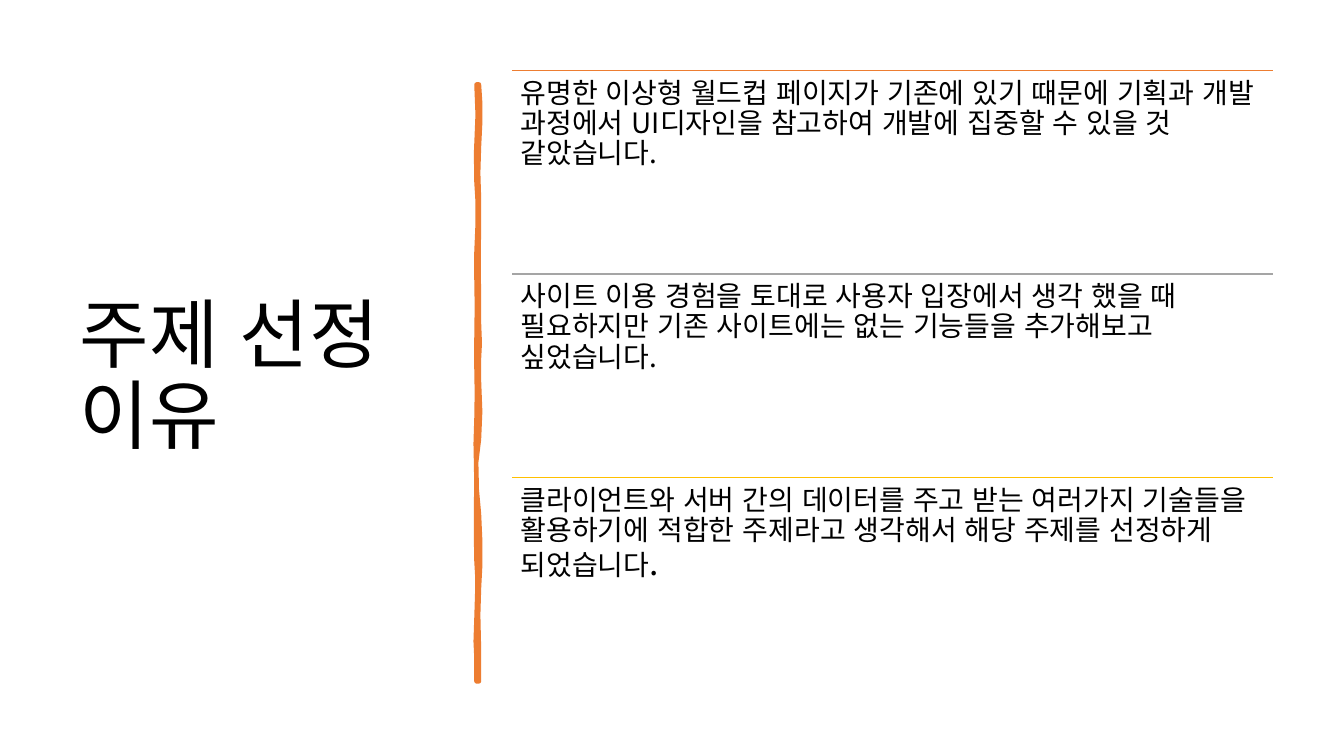
from lxml import etree
from pptx import Presentation
from pptx.dml.color import RGBColor
from pptx.enum.lang import MSO_LANGUAGE_ID
from pptx.enum.shapes import MSO_CONNECTOR
from pptx.enum.text import MSO_ANCHOR
from pptx.oxml.ns import qn
from pptx.util import Cm, Pt

STRAIGHT = MSO_CONNECTOR.STRAIGHT
TOP, MIDDLE = MSO_ANCHOR.TOP, MSO_ANCHOR.MIDDLE
KOREAN = MSO_LANGUAGE_ID.KOREAN

BLACK = RGBColor(0, 0, 0)
ORANGE = RGBColor(0xED, 0x7D, 0x31)
GRAY = RGBColor(0xA5, 0xA5, 0xA5)
GOLD = RGBColor(0xFF, 0xC0, 0x00)
FONT = "Noto Sans CJK KR"

TITLE = "주제 선정 이유"
REASONS = [
    (ORANGE, [("유명한 이상형 월드컵 페이지가 기존에 있기 때문에 기획과 개발 과정에서 "
               "UI디자인을 참고하여 개발에 집중할 수 있을 것 같았습니다.", 20)]),
    (GRAY, [("사이트 이용 경험을 토대로 사용자 입장에서 생각 했을 때 필요하지만 "
             "기존 사이트에는 없는 기능들을 추가해보고 싶었습니다.", 20)]),
    (GOLD, [("클라이언트와 서버 간의 데이터를 주고 받는 여러가지 기술들을 활용하기에 "
             "적합한 주제라고 생각해서 해당 주제를 선정하게 되었습니다", 20),
            (".", 24)]),
]

# Brush edges in 0.01 cm: two Bezier handles (x, y), then the y where the curve ends.
HALF = 3
RIGHT = [
    (8, 46, 8, 89, 157), (-3, 226, 5, 282, 361),
    (0, 439, 3, 452, 533), (0, 612, 8, 655, 691),
    (-3, 726, 13, 838, 894), (-8, 947, -5, 1016, 1082),
    (8, 1148, 8, 1219, 1270), (-3, 1318, 5, 1438, 1504),
]
LEFT = [
    (0, 1427, -8, 1422, 1344), (0, 1267, 0, 1234, 1201),
    (-5, 1168, -5, 1044, 998), (-3, 953, -8, 917, 841),
    (0, 767, -5, 734, 638), (0, 544, -5, 500, 422),
    (0, 340, 3, 295, 246), (-10, 201, 8, 51, 0),
]
STEPS = 3


def add_text(slide, box, runs, inset, anchor):
    shape = slide.shapes.add_textbox(*map(Cm, box))
    frame = shape.text_frame
    frame.word_wrap = True
    frame.vertical_anchor = anchor
    frame.margin_left = frame.margin_right = Cm(inset[0])
    frame.margin_top = frame.margin_bottom = Cm(inset[1])
    para = frame.paragraphs[0]
    para.line_spacing = 0.9
    for text, size in runs:
        run = para.add_run()
        run.text = text
        run.font.size = Pt(size)
        run.font.name = FONT
        run.font.language_id = KOREAN
        run.font.color.rgb = BLACK
        east = etree.SubElement(run.font._element, qn("a:ea"))
        east.set("typeface", FONT)


def trace(edge, x, y):
    """Sample the curves of one edge, which starts and ends each at x."""
    points = []
    for x1, y1, x2, y2, end in edge:
        for step in range(1, STEPS + 1):
            t = step / STEPS
            u = 1 - t
            a, b, c, d = u**3, 3 * u * u * t, 3 * u * t * t, t**3
            points.append((a * x + b * x1 + c * x2 + d * x,
                           a * y + b * y1 + c * y2 + d * end))
        y = end
    return points


def add_brush(slide, mid, top):
    """Draw the hand-painted bar around the vertical at mid."""
    build = slide.shapes.build_freeform(HALF, 0, scale=Cm(0.01))
    foot = RIGHT[-1][-1]
    points = trace(RIGHT, HALF, 0) + [(-HALF, foot)] + trace(LEFT, -HALF, foot)
    build.add_line_segments(points, close=True)
    bar = build.convert_to_shape(Cm(mid), Cm(top))
    bar.shadow.inherit = False
    bar.fill.solid()
    bar.fill.fore_color.rgb = ORANGE
    bar.line.color.rgb = ORANGE
    bar.line.width = Pt(3.25)
    etree.SubElement(bar.line._get_or_add_ln(), qn("a:round"))


def add_rule(slide, left, top, width, color):
    rule = slide.shapes.add_connector(
        STRAIGHT, Cm(left), Cm(top), Cm(left + width), Cm(top))
    rule.line.color.rgb = color
    rule.line.width = Pt(1)
    etree.SubElement(rule._element.spPr, qn("a:effectLst"))


def add_list(slide, box):
    """Stack the reasons in equal rows, each below a coloured rule."""
    left, top, width, height = box
    row = height / len(REASONS)
    for i, (color, runs) in enumerate(REASONS):
        y = top + i * row
        add_rule(slide, left, y, width, color)
        add_text(slide, (left, y, width, row), runs, (0.21, 0.21), TOP)


def main():
    deck = Presentation()
    deck.slide_width, deck.slide_height = Cm(33.87), Cm(19.05)
    slide = deck.slides.add_slide(deck.slide_layouts[6])
    add_text(slide, (1.76, 1.78, 9.5, 15.52), [(TITLE, 54)], (0.25, 0.13), MIDDLE)
    add_brush(slide, 12.04, 2.13)
    add_list(slide, (12.91, 1.78, 19.18, 15.38))
    deck.save("out.pptx")


if __name__ == "__main__":
    main()
